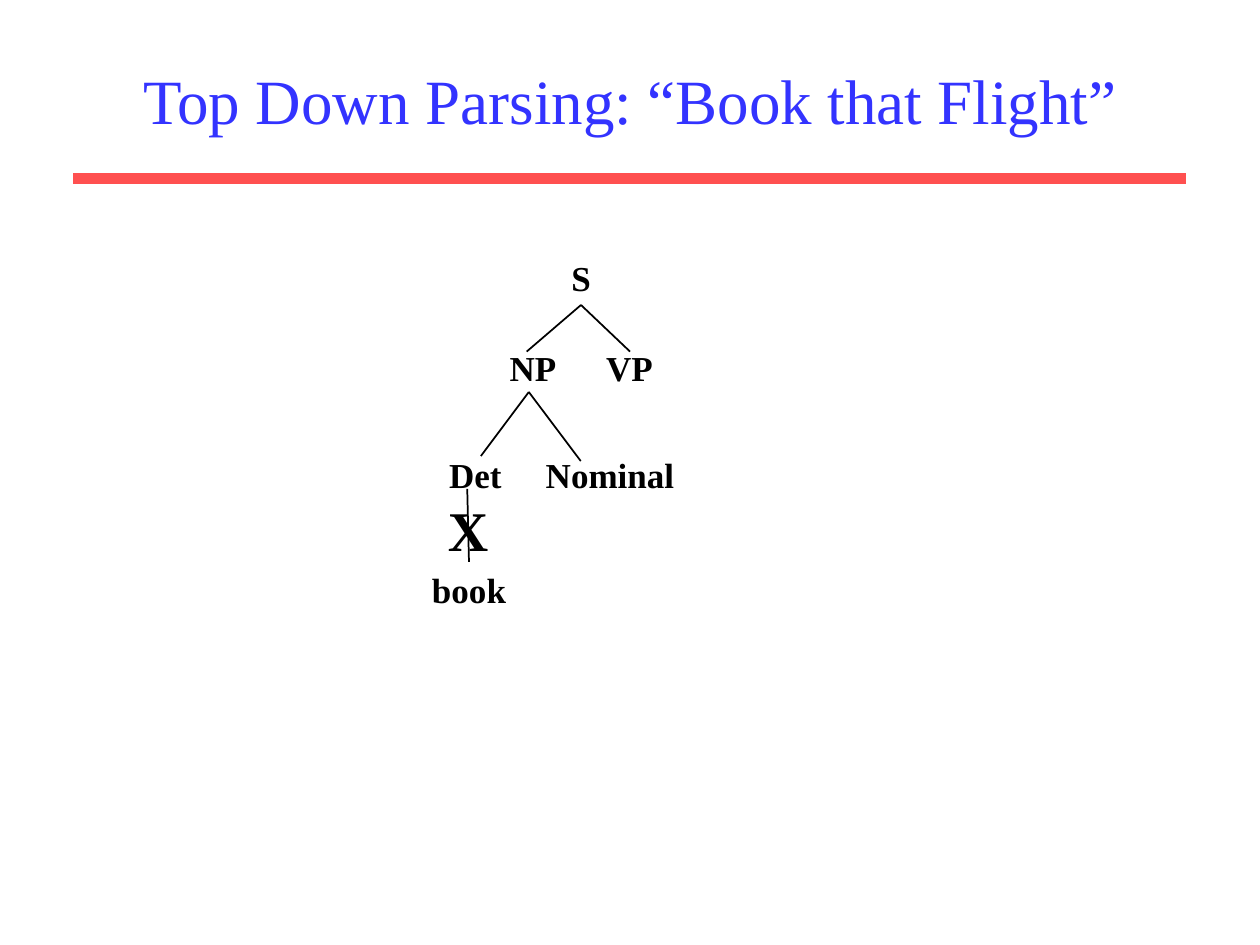
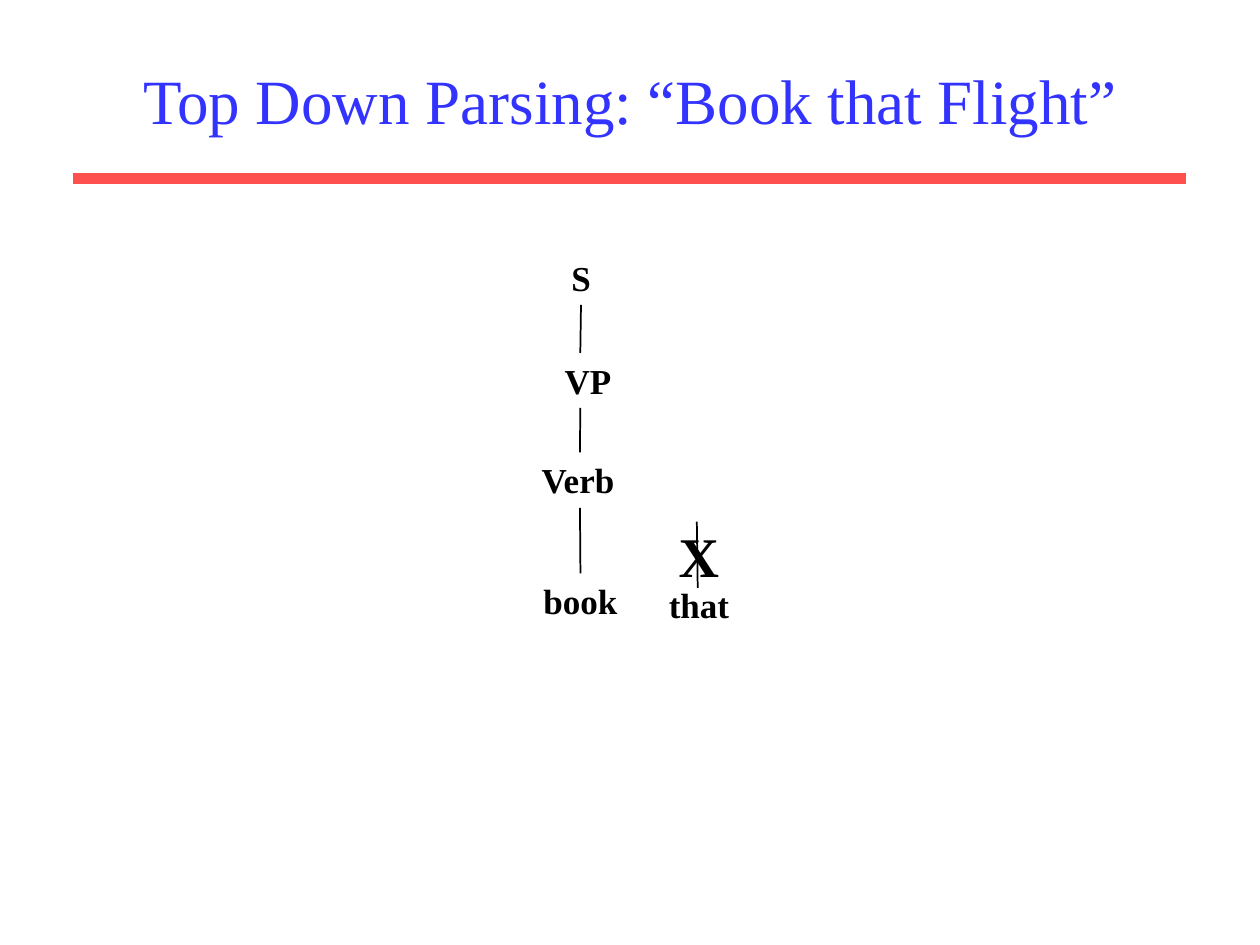
import lxml.etree
import pptx
import pptx.dml.color
import pptx.enum.shapes
import pptx.enum.text
import pptx.oxml.ns
import pptx.util

Pt = pptx.util.Pt
BLACK = pptx.dml.color.RGBColor(0x00, 0x00, 0x00)
WHITE = pptx.dml.color.RGBColor(0xFF, 0xFF, 0xFF)
BLUE = pptx.dml.color.RGBColor(0x33, 0x33, 0xFF)
RED = pptx.dml.color.RGBColor(0xFF, 0x50, 0x50)

TITLE = "Top Down Parsing: “Book that Flight”"
TITLE_FONT = {"name": "Times New Roman", "size": Pt(36), "bold": False}
NODE_FONT = {"name": "Times New Roman", "size": Pt(20), "bold": True}
CROSS_FONT = {**NODE_FONT, "size": Pt(32)}
NODE_HEIGHT = 31.5
CROSS_SIZE = (37.4, 46)

TREES = [
    {
        "nodes": [
            ("S", 332, 143.3, 25),
            ("NP", 304.6, 194.4, 41),
            ("VP", 359.7, 194.4, 41),
            ("Det", 271.7, 255.6, 45),
            ("Nominal", 348.6, 255.6, 88),
            ("book", 268, 321.1, 57),
        ],
        "branches": [
            (332, 174.3, 301, 200.9),
            (332, 174.3, 360, 200.9),
            (302.2, 224, 274.8, 260.6),
            (302.2, 224, 331.9, 263.5),
            (267, 279.4, 268, 321.1),
        ],
        "cross": (267.5, 279.4),
    },
    {
        "nodes": [
            ("S", 332, 143.3, 25),
            ("VP", 336, 201.6, 41),
            ("Verb", 330.3, 258.5, 58),
            ("book", 331.6, 327.6, 57),
            ("that", 399.4, 329.8, 49),
        ],
        "branches": [
            (332, 174.3, 331.6, 201.6),
            (331.6, 233.1, 331.4, 258.5),
            (331.4, 290.2, 331.7, 327.6),
            (398.2, 298.1, 398.7, 336),
        ],
        "cross": (399.4, 294.5),
    },
]


def set_font(span, font_format, color):
    """Apply a dict of font values and a colour to a run."""
    for name, value in font_format.items():
        setattr(span.font, name, value)
    span.font.color.rgb = color


def fill_text(shape, text, font_format, color, frame_format):
    """Write one centred paragraph into a shape."""
    frame = shape.text_frame
    for name, value in frame_format.items():
        setattr(frame, name, value)
    para = frame.paragraphs[0]
    para.alignment = pptx.enum.text.PP_ALIGN.CENTER
    span = para.add_run()
    span.text = text
    set_font(span, font_format, color)


def add_line(page, ends, color, weight):
    """Draw a straight line without a shadow."""
    line = page.shapes.add_connector(
        pptx.enum.shapes.MSO_CONNECTOR.STRAIGHT, *[Pt(end) for end in ends]
    )
    line.line.color.rgb = color
    line.line.width = Pt(weight)
    properties = line._element.spPr
    lxml.etree.SubElement(properties, pptx.oxml.ns.qn("a:effectLst"))


def add_label(page, text, center, top, width, height, font_format):
    """Add an unwrapped label centred on a horizontal position."""
    box = page.shapes.add_textbox(
        Pt(center - width / 2), Pt(top), Pt(width), Pt(height)
    )
    fill_text(box, text, font_format, BLACK, {"word_wrap": False})


def add_titled_page(deck):
    """Add a page with the shared title and the red rule."""
    page = deck.slides.add_slide(deck.slide_layouts[5])
    page.background.fill.solid()
    page.background.fill.fore_color.rgb = WHITE
    title = page.shapes.title
    place = {"left": 54, "top": 18, "width": 612, "height": 78}
    for name, value in place.items():
        setattr(title, name, Pt(value))
    frame_format = {
        "word_wrap": True,
        "vertical_anchor": pptx.enum.text.MSO_ANCHOR.MIDDLE,
        "auto_size": pptx.enum.text.MSO_AUTO_SIZE.NONE,
    }
    fill_text(title, TITLE, TITLE_FONT, BLUE, frame_format)
    add_line(page, (42, 102, 678, 102), RED, 6)
    return page


def add_tree(page, tree):
    """Draw the nodes, branches and failure cross of a parse tree."""
    for text, center, top, width in tree["nodes"]:
        add_label(page, text, center, top, width, NODE_HEIGHT, NODE_FONT)
    for ends in tree["branches"]:
        add_line(page, ends, BLACK, 1)
    add_label(page, "X", *tree["cross"], *CROSS_SIZE, CROSS_FONT)


def main():
    """Build and save the deck."""
    deck = pptx.Presentation()
    deck.slide_width, deck.slide_height = Pt(720), Pt(540)
    for tree in TREES:
        add_tree(add_titled_page(deck), tree)
    deck.save("out.pptx")


if __name__ == "__main__":
    main()
